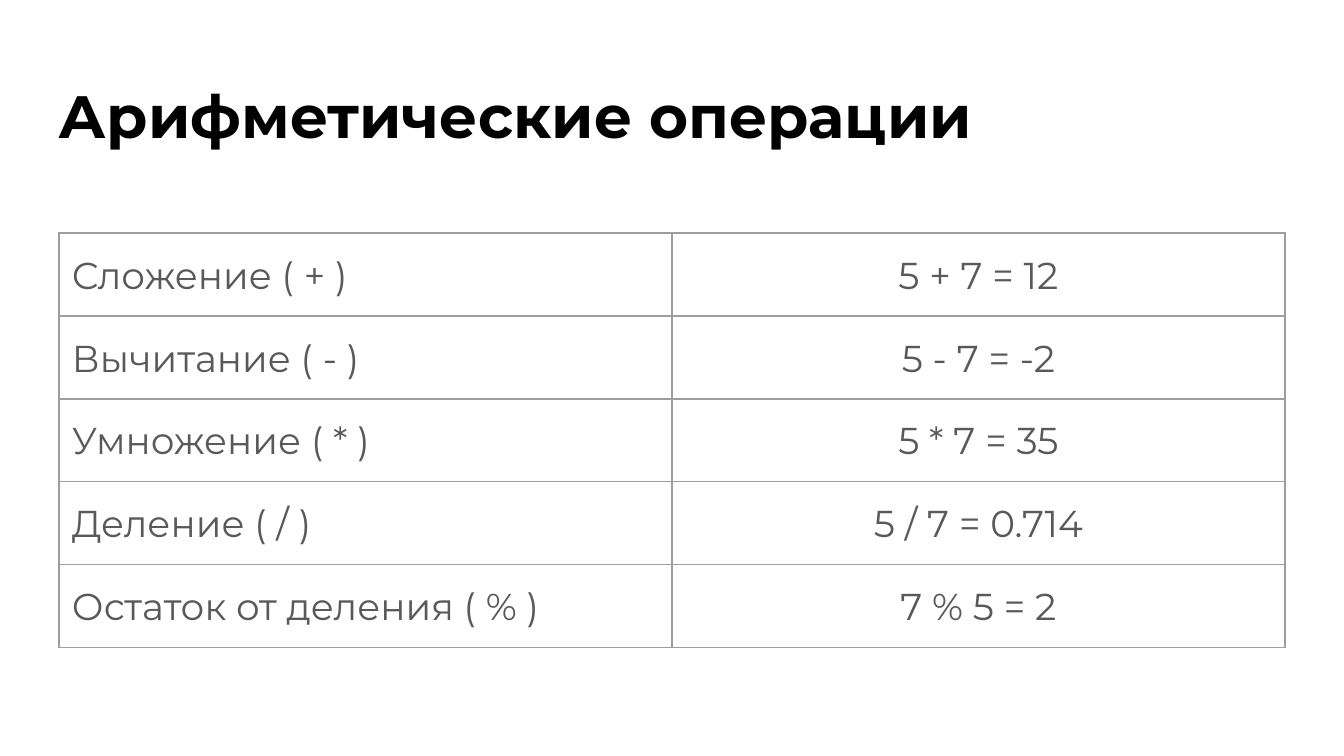
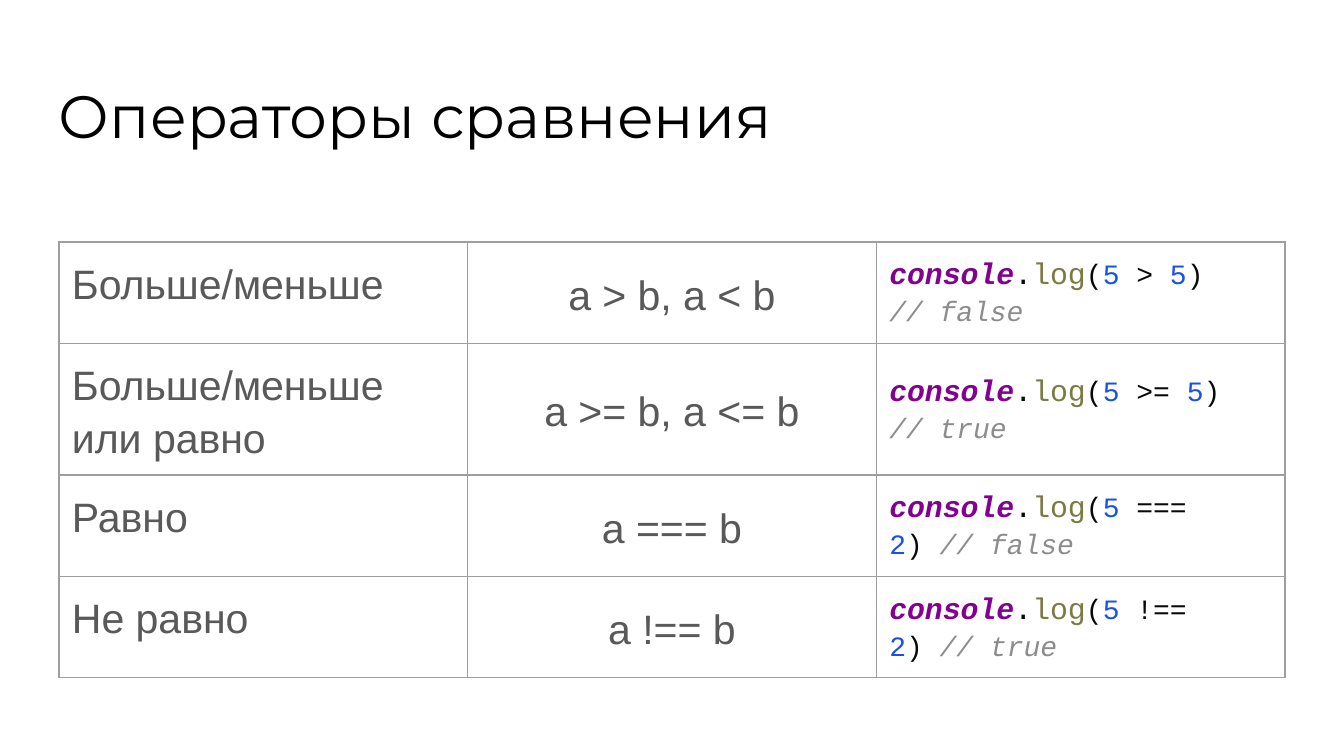
from lxml import etree
from pptx import Presentation
from pptx.dml.color import RGBColor
from pptx.enum.text import MSO_ANCHOR, MSO_AUTO_SIZE, PP_ALIGN
from pptx.oxml.ns import qn
from pptx.util import Emu, Pt

LEFT, CENTER = PP_ALIGN.LEFT, PP_ALIGN.CENTER
TOP, MIDDLE = MSO_ANCHOR.TOP, MSO_ANCHOR.MIDDLE
NO_AUTOFIT = MSO_AUTO_SIZE.NONE

SLIDE_WIDTH, SLIDE_HEIGHT = 1344, 756
EMU_PER_PX = 9144000 / SLIDE_WIDTH
INSET = 13
TABLE_LEFT, TABLE_WIDTH, ROW_HEIGHT = 59, 1226, 83
TITLE_ONLY = 5

HEADING_FONT, BODY_FONT, CODE_FONT = "Montserrat", "Arial", "Courier New"
COLORS = {
    "title": "000000",
    "text": "595959",
    "border": "9E9E9E",
    "object": "830091",
    "method": "7A7A43",
    "number": "1750EB",
    "code": "080808",
    "comment": "8C8C8C",
}

ARITHMETIC = [
    ("Сложение ( + )", "5 + 7 = 12"),
    ("Вычитание ( - )", "5 - 7 = -2"),
    ("Умножение ( * )", "5 * 7 = 35"),
    ("Деление ( / )", "5 / 7 = 0.714"),
    ("Остаток от деления ( % )", "7 % 5 = 2"),
]
COMPARISONS = [
    ("Больше/меньше", "a > b, a < b", (">", "5", "// false", True)),
    ("Больше/меньше или равно", "a >= b, a <= b", (">=", "5", "// true", True)),
    ("Равно", "a === b", ("===", "2", "// false", False)),
    ("Не равно", "a !== b", ("!==", "2", "// true", False)),
]


def px(length):
    return Emu(round(length * EMU_PER_PX))


def style_font(font, name, size, color, bold=False):
    font.name = name
    font.size = Pt(size)
    font.bold = bold
    font.color.rgb = RGBColor.from_string(COLORS[color])


def set_margins(target):
    target.margin_left = target.margin_right = px(INSET)
    target.margin_top = target.margin_bottom = px(INSET)


def add_titled_slide(presentation, text, bold):
    slide = presentation.slides.add_slide(presentation.slide_layouts[TITLE_ONLY])
    title = slide.shapes.title
    title.left, title.top, title.width, title.height = map(px, (46, 66, 1253, 85))
    frame = title.text_frame
    frame.text = text
    frame.word_wrap = True
    frame.auto_size = NO_AUTOFIT
    frame.vertical_anchor = TOP
    set_margins(frame)
    paragraph = frame.paragraphs[0]
    paragraph.alignment = LEFT
    style_font(paragraph.font, HEADING_FONT, 32, "title", bold)
    return slide


def add_borders(cell):
    properties = cell._tc.get_or_add_tcPr()
    for position, side in enumerate(("a:lnL", "a:lnR", "a:lnT", "a:lnB")):
        line = etree.Element(qn(side), w=str(Pt(0.75)))
        fill = etree.SubElement(line, qn("a:solidFill"))
        etree.SubElement(fill, qn("a:srgbClr"), val=COLORS["border"])
        properties.insert(position, line)


def add_grid(slide, top, row_count, column_count):
    frame = slide.shapes.add_table(
        row_count, column_count, px(TABLE_LEFT), px(top),
        px(TABLE_WIDTH), px(ROW_HEIGHT * row_count))
    table = frame.table
    table.first_row = table.horz_banding = False
    for cell in table.iter_cells():
        cell.fill.background()
        set_margins(cell)
        add_borders(cell)
    return table


def write_cell(cell, text, font_name, size, alignment=LEFT, anchor=TOP):
    cell.text = text
    cell.vertical_anchor = anchor
    paragraph = cell.text_frame.paragraphs[0]
    paragraph.alignment = alignment
    paragraph.line_spacing = 1.15
    style_font(paragraph.font, font_name, size, "text")


def add_code_run(paragraph, text, color, size=15, bold=False, italic=False):
    run = paragraph.add_run()
    run.text = text
    style_font(run.font, CODE_FONT, size, color, bold)
    run.font.italic = italic


def write_log_call(cell, operator, operand, comment, comment_below):
    cell.vertical_anchor = MIDDLE
    frame = cell.text_frame
    paragraph = frame.paragraphs[0]
    add_code_run(paragraph, "console", "object", 16, bold=True, italic=True)
    add_code_run(paragraph, ".", "code", 16)
    add_code_run(paragraph, "log", "method", 16)
    add_code_run(paragraph, "(", "code")
    add_code_run(paragraph, "5 ", "number")
    add_code_run(paragraph, operator + " ", "code")
    add_code_run(paragraph, operand, "number")
    add_code_run(paragraph, ")" if comment_below else ") ", "code")
    if comment_below:
        paragraph = frame.add_paragraph()
    add_code_run(paragraph, comment, "comment", italic=True)
    for paragraph in frame.paragraphs:
        paragraph.line_spacing = 1.15


def build_arithmetic(presentation):
    slide = add_titled_slide(presentation, "Арифметические операции", True)
    table = add_grid(slide, 233, len(ARITHMETIC), 2)
    for row, (operation, example) in enumerate(ARITHMETIC):
        write_cell(table.cell(row, 0), operation, HEADING_FONT, 20)
        write_cell(table.cell(row, 1), example, HEADING_FONT, 20, CENTER)


def build_comparisons(presentation):
    slide = add_titled_slide(presentation, "Операторы сравнения", False)
    table = add_grid(slide, 242, len(COMPARISONS), 3)
    for row, (meaning, expression, log_call) in enumerate(COMPARISONS):
        write_cell(table.cell(row, 0), meaning, BODY_FONT, 22)
        write_cell(table.cell(row, 1), expression, BODY_FONT, 22, CENTER, MIDDLE)
        write_log_call(table.cell(row, 2), *log_call)


def main():
    presentation = Presentation()
    presentation.slide_width = px(SLIDE_WIDTH)
    presentation.slide_height = px(SLIDE_HEIGHT)
    build_arithmetic(presentation)
    build_comparisons(presentation)
    presentation.save("out.pptx")


if __name__ == "__main__":
    main()
